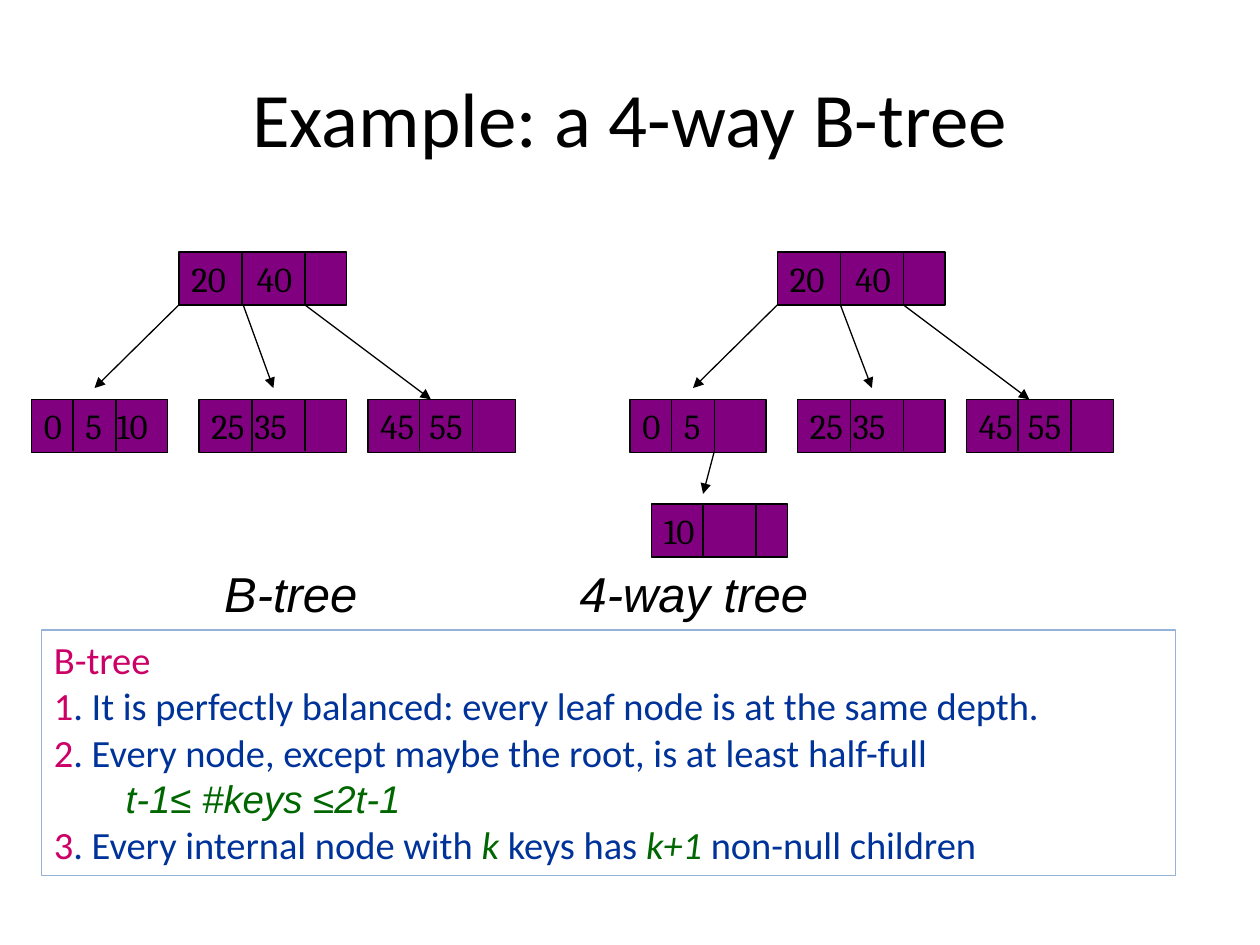
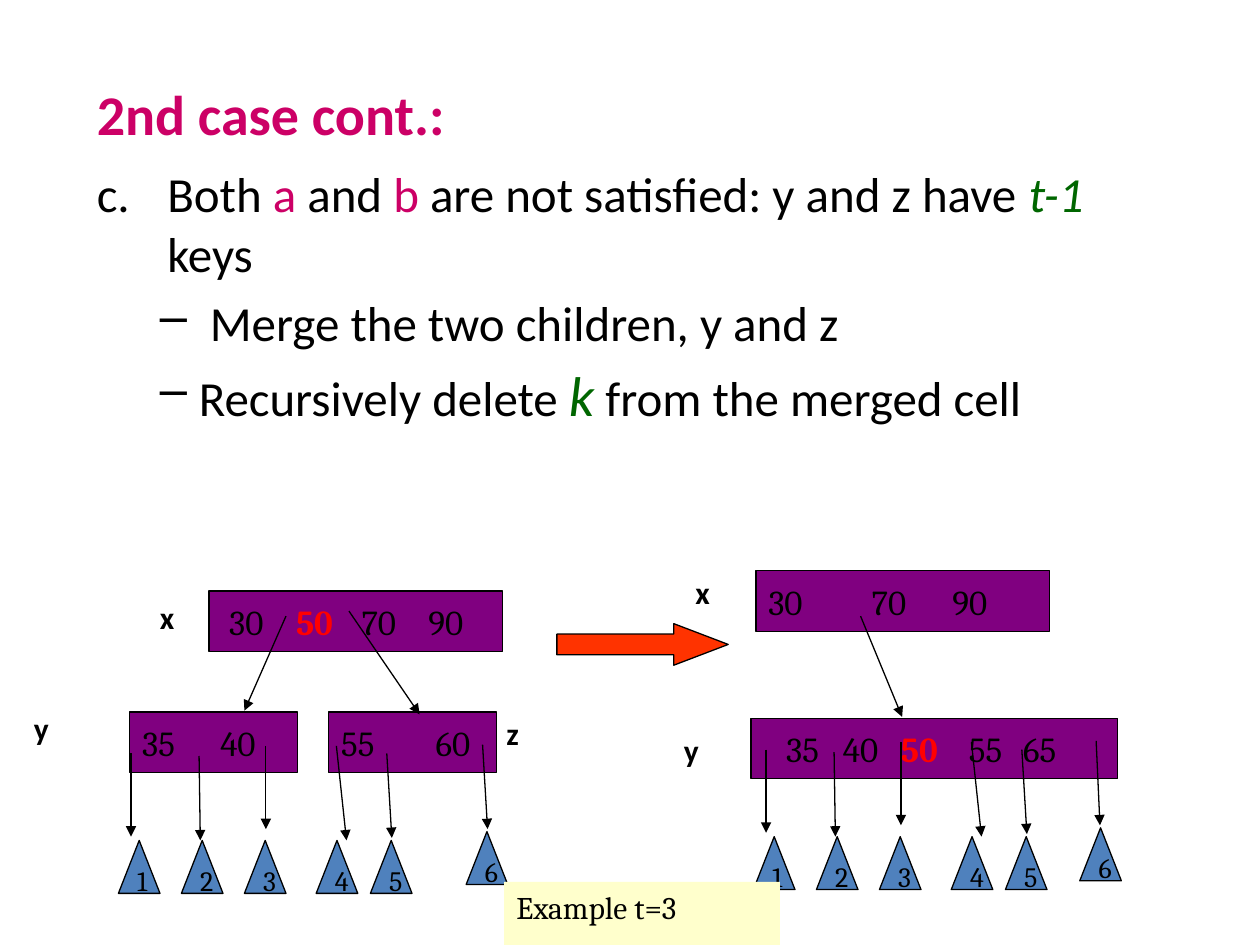
import dataclasses

import pptx
import pptx.dml.color
import pptx.enum.shapes
import pptx.enum.text
import pptx.oxml.ns
import pptx.util
from lxml import etree

SHAPE = pptx.enum.shapes.MSO_SHAPE
ALIGN = pptx.enum.text.PP_ALIGN
ANCHOR = pptx.enum.text.MSO_ANCHOR


@dataclasses.dataclass(frozen=True)
class Theme:
    black: str = "000000"
    white: str = "FFFFFF"
    node: str = "800080"
    subtree: str = "4F81BD"
    step: str = "FF3300"
    note: str = "FFFFCC"
    frame: str = "95B3D7"
    pink: str = "CC0066"
    navy: str = "003399"
    green: str = "006600"
    red: str = "FF0000"
    body_font: str = "Calibri"
    caption_font: str = "Arial"
    key_font: str = "Cambria"
    title: int = 44
    heading: int = 32
    body: int = 28
    rules: int = 22
    key: int = 20
    label: int = 18
    subtree_size: int = 16
    line: float = 0.75


@dataclasses.dataclass(frozen=True)
class Style:
    size: int
    color: str = "000000"
    font: str = "Calibri"
    bold: bool = False
    italic: bool = False

    def but(self, **changes):
        return dataclasses.replace(self, **changes)


T = Theme()
KEY = Style(T.key, font=T.key_font)
BODY = Style(T.body)
RULE = Style(T.rules, T.navy)
INSET = 1.2
NODE_HEIGHT = 5.8


# Grid: 120 columns by 90 rows, twelve to the inch
def grid(cells):
    return pptx.util.Inches(round(cells / 12, 2))


def rgb(color):
    return pptx.dml.color.RGBColor.from_string(color)


# Text
def add_runs(paragraph, *runs):
    for text, style in runs:
        if text == "\n":
            paragraph.add_line_break()
            continue
        run = paragraph.add_run()
        run.text = text
        font = run.font
        font.size, font.name = pptx.util.Pt(style.size), style.font
        font.bold, font.italic = style.bold, style.italic
        font.color.rgb = rgb(style.color)


def add_property(paragraph, tag, **attributes):
    properties = paragraph._p.get_or_add_pPr()
    return etree.SubElement(properties, pptx.oxml.ns.qn(tag), attributes)


def set_indent(paragraph, left, first):
    properties = paragraph._p.get_or_add_pPr()
    properties.set("marL", str(grid(left)))
    properties.set("indent", str(grid(first)))


def set_tabs(paragraph, stops):
    tabs = add_property(paragraph, "a:tabLst")
    for stop in stops:
        etree.SubElement(tabs, pptx.oxml.ns.qn("a:tab"),
                         {"pos": str(grid(stop)), "algn": "l"})


def add_text(slide, box, *runs, align=ALIGN.LEFT, anchor=ANCHOR.TOP):
    frame = slide.shapes.add_textbox(*map(grid, box)).text_frame
    frame.word_wrap = True
    frame.vertical_anchor = anchor
    frame.paragraphs[0].alignment = align
    add_runs(frame.paragraphs[0], *runs)
    return frame


def next_paragraph(frame, index):
    return frame.paragraphs[0] if index == 0 else frame.add_paragraph()


# Shapes and lines
def add_block(slide, kind, box, fill, line=T.black, anchor=ANCHOR.MIDDLE):
    block = slide.shapes.add_shape(kind, *map(grid, box))
    block.shadow.inherit = False
    block.fill.solid()
    block.fill.fore_color.rgb = rgb(fill)
    if line:
        block.line.color.rgb = rgb(line)
        block.line.width = pptx.util.Pt(T.line)
    else:
        block.line.fill.background()
    block.text_frame.word_wrap = True
    block.text_frame.vertical_anchor = anchor
    block.text_frame.paragraphs[0].alignment = ALIGN.LEFT
    return block


def add_line(slide, x1, y1, x2, y2, arrow=True):
    line = slide.shapes.add_connector(
        pptx.enum.shapes.MSO_CONNECTOR.STRAIGHT, *map(grid, (x1, y1, x2, y2)))
    line.line.color.rgb = rgb(T.black)
    line.line.width = pptx.util.Pt(T.line)
    if arrow:
        etree.SubElement(line.line._get_or_add_ln(),
                         pptx.oxml.ns.qn("a:tailEnd"), {"type": "triangle"})
    etree.SubElement(line._element.spPr, pptx.oxml.ns.qn("a:effectLst"))


def add_node(slide, box, keys, dividers=(), marked=None):
    """Draw a tree node; keys maps each key to its offset in the node."""
    frame = add_block(slide, SHAPE.RECTANGLE, box, T.node).text_frame
    first, *others = keys.values()
    frame.margin_left, frame.margin_right = grid(INSET + first), 0
    paragraph = frame.paragraphs[0]
    set_tabs(paragraph, [offset - first for offset in others])
    for index, key in enumerate(keys):
        style = KEY.but(color=T.red, bold=True) if key == marked else KEY
        add_runs(paragraph, (("\t" if index else "") + key, style))
    left, top, _, height = box
    for divider in dividers:
        x = left + divider
        add_line(slide, x, top, x, top + height, arrow=False)


def add_subtree(slide, left, top, number):
    triangle = add_block(slide, SHAPE.FLOWCHART_EXTRACT, (left, top, 4, 5), T.subtree)
    triangle.text_frame.word_wrap = False
    add_runs(triangle.text_frame.paragraphs[0],
             (number, KEY.but(size=T.subtree_size)))


# Slide 1: two trees side by side
def add_search_tree(slide, shift, first_leaf):
    add_node(slide, (17 + shift, 24, 16, 5), {"20": 0, "40": 6.2}, (6, 12))
    leaves = [(3, 13, first_leaf, (4, 8)),
              (19, 14, {"25": 0, "35": 4.1}, (5, 10)),
              (35, 14, {"45": 0, "55": 4.7}, (5, 10))]
    for left, width, keys, dividers in leaves:
        add_node(slide, (left + shift, 38, width, 5), keys, dividers)
    for start, end, bottom in [(17, 9, 37), (23.1, 26, 37), (29, 41, 38)]:
        add_line(slide, start + shift, 29, end + shift, bottom)


def add_rules(slide):
    pink, green = RULE.but(color=T.pink), RULE.but(color=T.green, italic=True)
    rules = [
        [("B-tree", pink)],
        [("1", pink),
         (". It is perfectly balanced: every leaf node is at the same depth.", RULE)],
        [("2", pink),
         (". Every node, except maybe the root, is at least half-full", RULE),
         ("\n", RULE), (" ", RULE),
         ("t-1≤ #keys ≤2t-1", green.but(font=T.caption_font))],
        [("3", pink), (". Every internal node with", RULE), (" k ", green),
         ("keys has ", RULE), ("k+1", green), (" non-null children", RULE)],
    ]
    frame = add_block(slide, SHAPE.RECTANGLE, (4, 60, 108, 23.4), T.white,
                      T.frame, ANCHOR.TOP).text_frame
    for index, runs in enumerate(rules):
        paragraph = next_paragraph(frame, index)
        paragraph.alignment = ALIGN.LEFT
        set_indent(paragraph, 6, -6)
        add_runs(paragraph, *runs)


def build_example(slide):
    add_text(slide, (6, 3.6, 108, 15), ("Example: a 4-way B-tree", Style(T.title)),
             align=ALIGN.CENTER, anchor=ANCHOR.MIDDLE)
    caption = Style(T.body, font=T.caption_font, italic=True)
    captions = add_text(slide, (6, 53, 106, 6.8),
                        ("B-tree", caption), ("\t4-way tree", caption))
    captions.margin_left = grid(15.4)
    set_tabs(captions.paragraphs[0], [33.8])
    add_rules(slide)
    add_search_tree(slide, 0, {"0": 0, "5": 4, "10": 7})
    add_search_tree(slide, 57, {"0": 0, "5": 4})
    add_node(slide, (62, 48, 13, 5), {"10": 0}, (5, 10))
    add_line(slide, 68, 43, 67, 47)


# Slide 2: merging two children
def add_case_text(slide):
    pink = BODY.but(color=T.pink)
    green = BODY.but(color=T.green, italic=True)
    large = green.but(size=T.heading)
    lines = [
        (4.5, -4.5, None, [("2nd case cont.:", pink.but(size=T.heading, bold=True))]),
        (6.75, -6.75, ("a:buAutoNum", {"type": "alphaLcPeriod", "startAt": "3"}),
         [("Both ", BODY), ("a ", pink), ("and ", BODY), ("b ", pink),
          ("are not satisfied: y and z have", BODY), (" ", large),
          ("t-1", green), (" ", large), ("keys", BODY)]),
        (9.75, -3.75, ("a:buChar", {"char": "–"}),
         [(" Merge the two children, y and z", BODY)]),
        (9.75, -3.75, ("a:buChar", {"char": "–"}),
         [("Recursively delete ", BODY), ("k", large),
          (" from the merged cell", BODY)]),
    ]
    frame = add_text(slide, (8, 7, 102, 76.2))
    for index, (left, first, bullet, runs) in enumerate(lines):
        paragraph = next_paragraph(frame, index)
        set_indent(paragraph, left, first)
        if index:
            paragraph.space_before = pptx.util.Pt(0.2 * T.body)
        if bullet:
            add_property(paragraph, bullet[0], **bullet[1])
        add_runs(paragraph, *runs)


def add_subtrees(slide, shift, last_shift, rise):
    # Triangle left and top, then arrow start x, start y, end x, end y
    subtrees = [(11.3, 80, 12.5, 71.8, 12.5, 79.7),
                (17.3, 80, 19, 72, 19.1, 80),
                (23.3, 80, 25.3, 71, 25.3, 79),
                (30.1, 80, 32, 71, 33, 80),
                (35.3, 80, 36.8, 71.8, 37.3, 79.8),
                (44.4, 79.2, 46, 70.9, 46.4, 79)]
    for number, (left, top, x1, y1, x2, y2) in enumerate(subtrees, 1):
        dx = last_shift if number == len(subtrees) else shift
        add_subtree(slide, left + dx, top - rise, str(number))
        add_line(slide, x1 + dx, y1 - rise, x2 + dx, y2 - rise)


def build_merge(slide):
    add_case_text(slide)

    # Nodes before and after the merge
    nodes = [(12.4, 67.8, 16, {"35": 0, "40": 7.4}),
             (31.3, 67.8, 16, {"55": 0, "60": 9}),
             (71.5, 68.4, 34.9,
              {"35": 2.2, "40": 7.6, "50": 13.1, "55": 19.6, "65": 24.8}),
             (19.9, 56.3, 28, {"30": 0.7, "50": 7, "70": 13.3, "90": 19.7}),
             (72, 54.4, 28, {"30": 0, "70": 9.8, "90": 17.5})]
    for left, top, width, keys in nodes:
        add_node(slide, (left, top, width, NODE_HEIGHT), keys, marked="50")
    for link in [(27.2, 58.7, 23.3, 67.7), (33.2, 58.2, 40, 68),
                 (82, 58.7, 85.9, 68.3)]:
        add_line(slide, *link)
    merge_step = add_block(slide, SHAPE.RIGHT_ARROW, (53, 59.4, 16.3, 4), T.step)
    merge_step.adjustments[0], merge_step.adjustments[1] = 0.5, 1.31

    add_subtrees(slide, 0, 0, 0)
    add_subtrees(slide, 60.5, 58.4, 0.36)

    # Note and node names
    note = add_block(slide, SHAPE.RECTANGLE, (48, 84, 26.3, 6), T.note,
                     None, ANCHOR.TOP)
    add_runs(note.text_frame.paragraphs[0], ("Example t=3", KEY.but(size=T.label)))
    for name, left, top in [("x", 14, 56.4), ("y", 2, 67), ("z", 47, 67.4),
                            ("x", 65, 54), ("y", 64, 69)]:
        add_text(slide, (left, top, 6, 6), (name, Style(T.label, bold=True)))


def main():
    deck = pptx.Presentation()
    deck.slide_width, deck.slide_height = grid(120), grid(90)
    blank = deck.slide_layouts[6]
    for build in (build_example, build_merge):
        build(deck.slides.add_slide(blank))
    deck.save("out.pptx")


if __name__ == "__main__":
    main()
